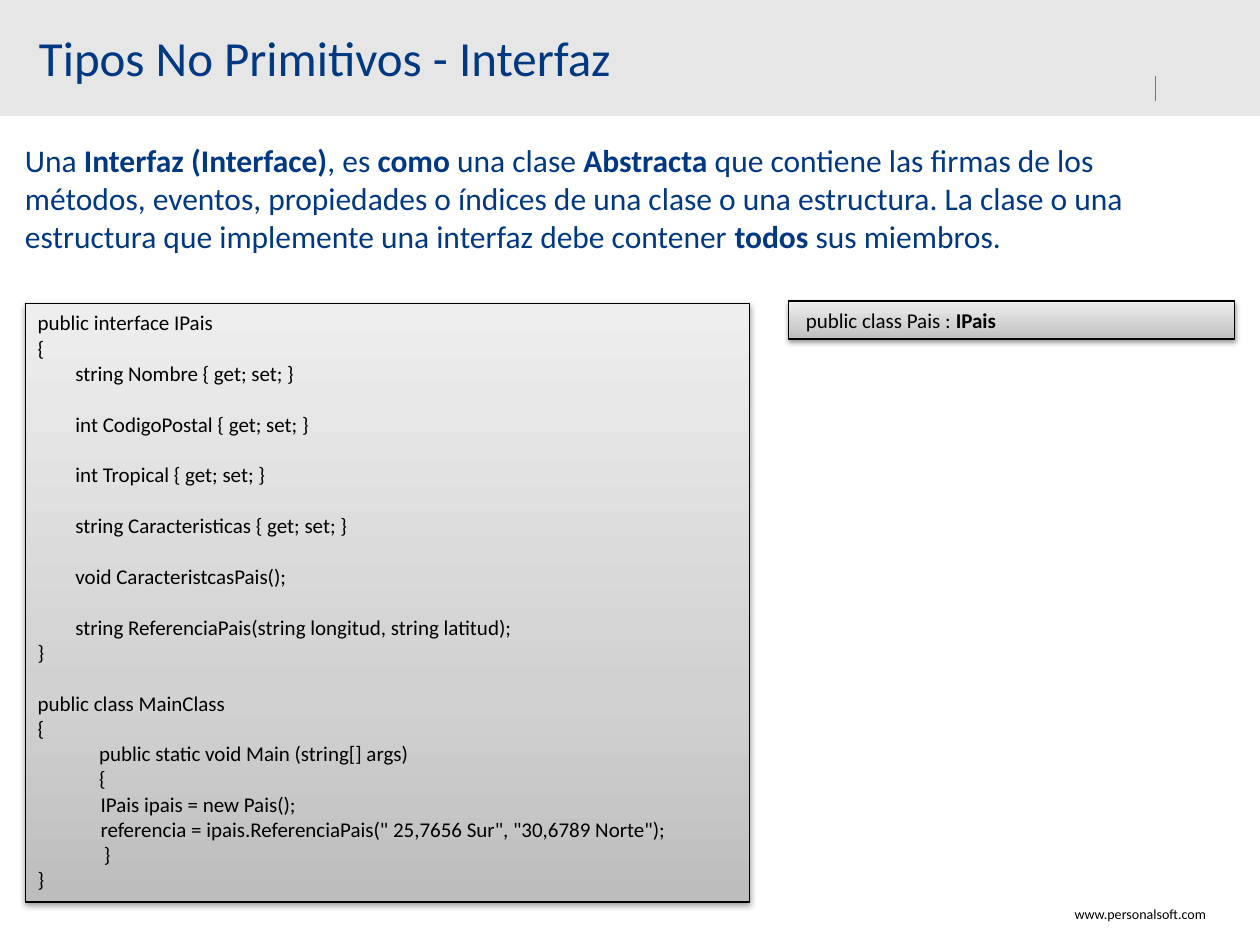
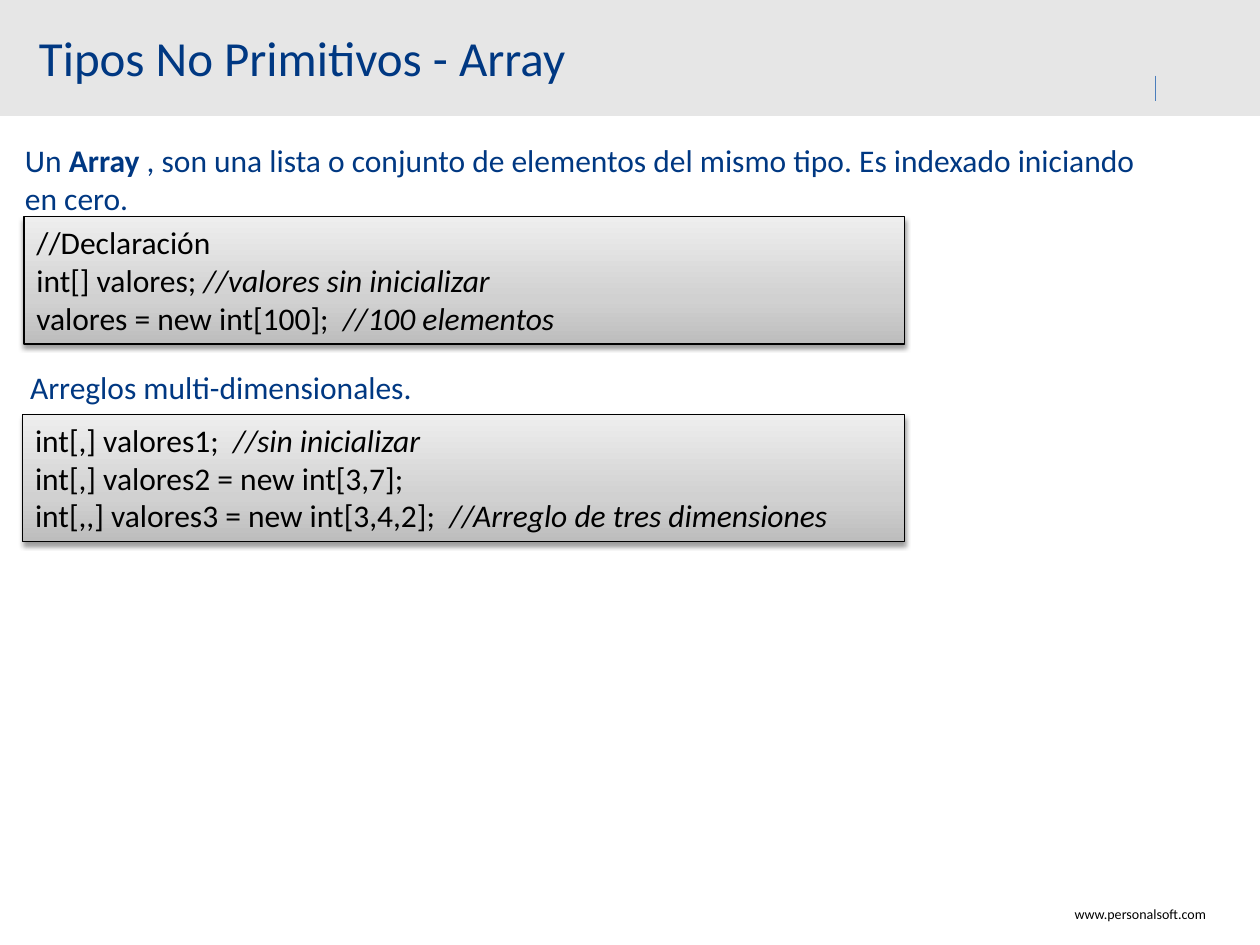
from copy import deepcopy

from lxml import etree
from pptx import Presentation
from pptx.dml.color import RGBColor
from pptx.enum.shapes import MSO_CONNECTOR, MSO_SHAPE
from pptx.enum.text import MSO_ANCHOR, PP_ALIGN
from pptx.oxml import parse_xml
from pptx.oxml.ns import nsdecls, qn
from pptx.util import Inches, Pt

RECTANGLE = MSO_SHAPE.RECTANGLE
STRAIGHT = MSO_CONNECTOR.STRAIGHT
MIDDLE, TOP = MSO_ANCHOR.MIDDLE, MSO_ANCHOR.TOP
LEFT = PP_ALIGN.LEFT

COLOURS = {"band": "E6E6E6", "blue": "003882", "tick": "4B7EBC", "black": "000000"}
CODE_GRADIENT = [(0, "BDBDBD"), (0.35, "D1D1D1"), (1, "EEEEEE")]
FONT = "Calibri"
LINE_HEIGHT = 1.22
PLAIN, BOLD, ITALIC = {}, {"bold": True}, {"italic": True}
SHADOW = (
    f'<a:outerShdw {nsdecls("a")} blurRad="{Pt(3.1)}" dist="{Pt(1.6)}" dir="5400000" rotWithShape="0">'
    f'<a:srgbClr val="{COLOURS["black"]}"><a:alpha val="38000"/></a:srgbClr></a:outerShdw>'
)

INTERFACE_CODE = """public interface IPais
{
        string Nombre { get; set; }

        int CodigoPostal { get; set; }

        int Tropical { get; set; }

        string Caracteristicas { get; set; }

        void CaracteristcasPais();

        string ReferenciaPais(string longitud, string latitud);
}

public class MainClass
{
             public static void Main (string[] args)
             {
\tIPais ipais = new Pais();
\treferencia = ipais.ReferenciaPais(" 25,7656 Sur", "30,6789 Norte");
              }
}"""

SLIDES = [
    {
        "title": "Tipos No Primitivos - Interfaz",
        "texts": [
            ((0.1, 1.07, 9.03, 1.01), [[
                ("Una ", PLAIN), ("Interfaz (Interface)", BOLD), (", es ", PLAIN),
                ("como", BOLD), (" una clase ", PLAIN), ("Abstracta", BOLD),
                (" que contiene las firmas de los métodos, eventos, propiedades o índices "
                 "de una clase o una estructura. La clase o una estructura que implemente "
                 "una interfaz debe contener ", PLAIN),
                ("todos", BOLD), (" sus miembros.", PLAIN),
            ]]),
        ],
        "code_size": 12,
        "codes": [
            ((0.2, 2.41, 5.75, 4.75),
             [[(line, PLAIN)] if line else [] for line in INTERFACE_CODE.splitlines()]),
            ((6.26, 2.39, 3.54, 0.3), [[(" public class Pais : ", PLAIN), ("IPais", BOLD)]]),
        ],
    },
    {
        "title": "Tipos No Primitivos - Array",
        "texts": [
            ((0.1, 1.07, 9.03, 0.71), [[
                ("Un ", PLAIN), ("Array", BOLD),
                (" , son una lista o conjunto de elementos del mismo tipo. "
                 "Es indexado iniciando en cero.", PLAIN),
            ]]),
            ((0.14, 2.87, 9.38, 0.4), [[("Arreglos multi-dimensionales.", PLAIN)]]),
        ],
        "code_size": 18,
        "codes": [
            ((0.19, 1.72, 6.99, 1.01), [
                [("//Declaración", PLAIN)],
                [("int[] valores; ", PLAIN), ("//valores sin inicializar", ITALIC)],
                [("valores = new int[100];  ", PLAIN), ("//100 elementos", ITALIC)],
            ]),
            ((0.18, 3.29, 7, 1.01), [
                [("int[,] valores1;  ", PLAIN), ("//sin inicializar", ITALIC)],
                [("int[,] valores2 = new int[3,7];", PLAIN)],
                [("int[,,] valores3 = new int[3,4,2];  ", PLAIN),
                 ("//Arreglo de tres dimensiones", ITALIC)],
            ]),
        ],
    },
]


def write_text(box, lines, size, colour, anchor=TOP, wrap=True):
    """Write lines of (text, format) spans; an empty line becomes space before the next one."""
    frame = box.text_frame
    frame.word_wrap = wrap
    frame.vertical_anchor = anchor
    para, gap = frame.paragraphs[0], 0
    for number, line in enumerate(lines):
        if not line:
            gap = size * LINE_HEIGHT
            continue
        if number:
            para = frame.add_paragraph()
        para.alignment = LEFT
        if gap:
            para.space_before = Pt(gap)
            gap = 0
        for text, formats in line:
            span = para.add_run()
            span.text = text
            span.font.name = FONT
            span.font.size = Pt(size)
            span.font.color.rgb = RGBColor.from_string(COLOURS[colour])
            for name, value in formats.items():
                setattr(span.font, name, value)


def add_code_box(page, place, lines, size):
    box = page.shapes.add_shape(RECTANGLE, *map(Inches, place))
    box.fill.gradient()
    box.fill.gradient_angle = 90
    properties = box._element.spPr
    stops = properties.find(".//" + qn("a:gsLst"))
    stops.insert(1, deepcopy(stops[0]))
    for stop, (position, colour) in zip(box.fill.gradient_stops, CODE_GRADIENT):
        stop.position = position
        stop.color.rgb = RGBColor.from_string(colour)
    box.line.color.rgb = RGBColor.from_string(COLOURS["black"])
    box.line.width = Pt(0.75)
    box.shadow.inherit = False
    properties.find(qn("a:effectLst")).append(parse_xml(SHADOW))
    write_text(box, lines, size, "black")


deck = Presentation()
deck.slide_width, deck.slide_height = Inches(10), Inches(7.5)

for content in SLIDES:
    page = deck.slides.add_slide(deck.slide_layouts[6])

    footer = page.shapes.add_textbox(*map(Inches, (8.43, 7.14, 1.27, 0.24)))
    write_text(footer, [[("www.personalsoft.com", PLAIN)]], 8, "black", wrap=False)

    band = page.shapes.add_shape(RECTANGLE, 0, 0, deck.slide_width, Inches(0.92))
    band.fill.solid()
    band.fill.fore_color.rgb = RGBColor.from_string(COLOURS["band"])
    band.line.fill.background()
    band.shadow.inherit = False
    insets = {"margin_left": 0.31, "margin_top": 0.04, "margin_right": 0.08, "margin_bottom": 0.05}
    for side, inset in insets.items():
        setattr(band.text_frame, side, Inches(inset))
    write_text(band, [[(content["title"], PLAIN)]], 28, "blue", anchor=MIDDLE)

    tick = page.shapes.add_connector(STRAIGHT, *map(Inches, (9.17, 0.6, 9.17, 0.8)))
    tick.line.color.rgb = RGBColor.from_string(COLOURS["tick"])
    tick.line.width = Pt(0.25)
    etree.SubElement(tick._element.spPr, qn("a:effectLst"))

    for place, lines in content["texts"]:
        write_text(page.shapes.add_textbox(*map(Inches, place)), lines, 18, "blue")
    for place, lines in content["codes"]:
        add_code_box(page, place, lines, content["code_size"])

deck.save("out.pptx")
